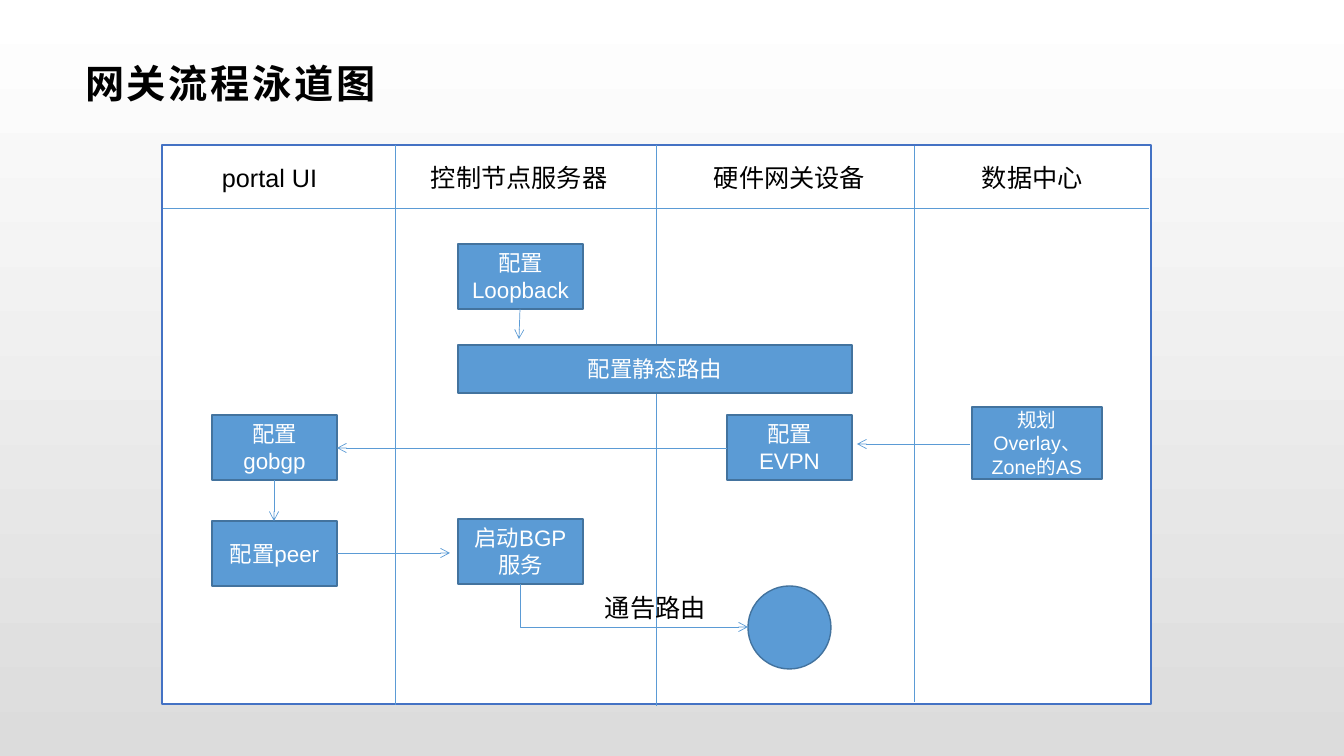
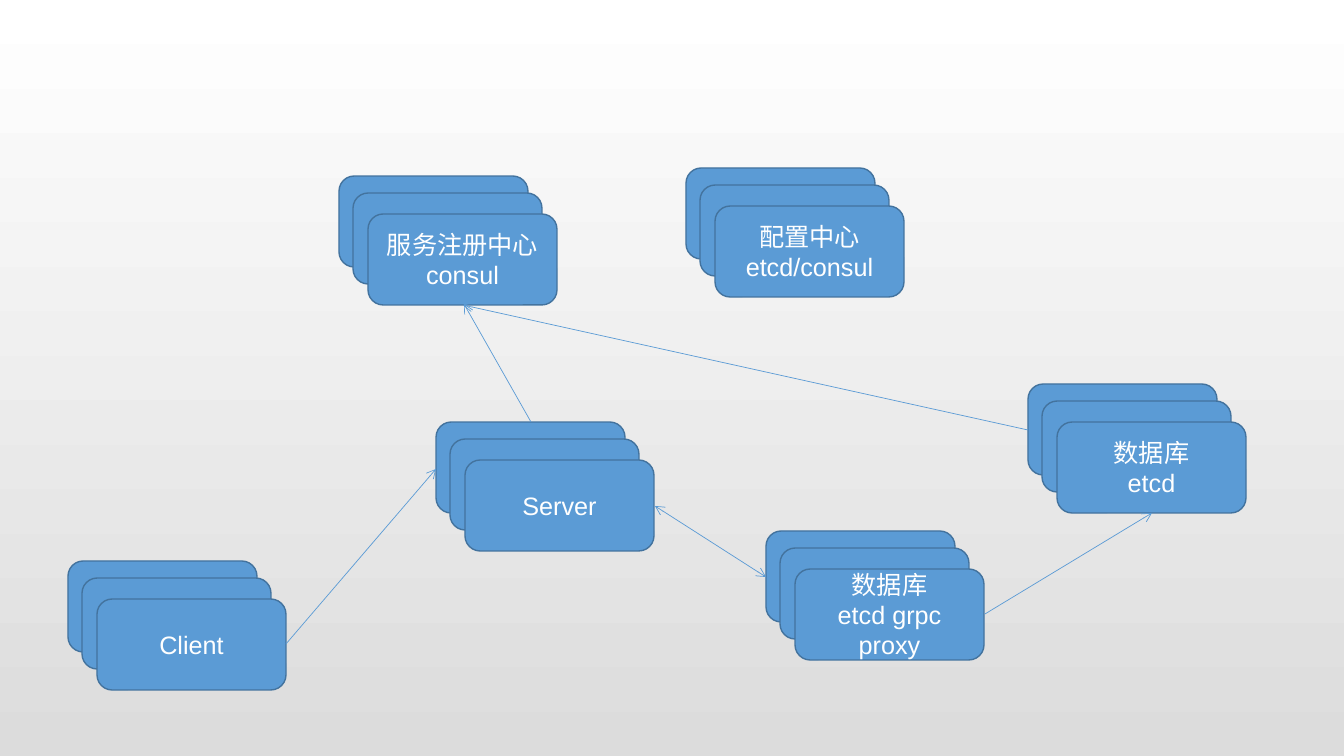
"""Build the gateway swimlane slide and the service topology slide."""
from lxml import etree
from pptx import Presentation
from pptx.dml.color import RGBColor
from pptx.enum.shapes import MSO_CONNECTOR, MSO_SHAPE
from pptx.enum.text import MSO_ANCHOR, MSO_AUTO_SIZE, PP_ALIGN
from pptx.oxml.ns import qn
from pptx.util import Emu, Pt

RECT, ROUNDED, OVAL = MSO_SHAPE.RECTANGLE, MSO_SHAPE.ROUNDED_RECTANGLE, MSO_SHAPE.OVAL
STRAIGHT, ELBOW = MSO_CONNECTOR.STRAIGHT, MSO_CONNECTOR.ELBOW
MIDDLE, CENTER, GROW = MSO_ANCHOR.MIDDLE, PP_ALIGN.CENTER, MSO_AUTO_SIZE.SHAPE_TO_FIT_TEXT

BLACK = RGBColor(0x00, 0x00, 0x00)
WHITE = RGBColor(0xFF, 0xFF, 0xFF)
BACKDROP_END = RGBColor(0xDC, 0xDC, 0xDC)
BLUE = RGBColor(0x5B, 0x9B, 0xD5)
BLUE_EDGE = RGBColor(0x43, 0x73, 0x9E)
PANEL_EDGE = RGBColor(0x44, 0x72, 0xC4)

SLIDE_SIZE = (1344, 756)
EMU_PER_PX = 914400 / 100.8
FONT = "Arial"
TITLE_FONT = {"name": FONT, "size": Pt(28), "bold": True}
LABEL_FONT = {"name": FONT, "size": Pt(18)}

TITLE = ("网关流程泳道图", (74, 47, 1197, 72))
TITLE_MARGINS = {"margin_left": 11, "margin_top": 4, "margin_right": 8, "margin_bottom": 4}
LANE_PANEL = (162, 145, 989, 559)
LANE_RULES = [
    (163, 208, 1149, 208),
    (656, 145, 656, 706),
    (395, 145, 395, 705),
    (914, 146, 914, 702),
]
LABEL_HEIGHT = 40
LABELS = [
    ("portal UI", 212, 157, 130),
    ("控制节点服务器", 421, 157, 212),
    ("硬件网关设备", 704, 157, 186),
    ("数据中心", 972, 157, 136),
    ("通告路由", 595, 587, 136),
]
STEP = (125, 65)
STEPS = [
    ("配置Loopback", (458, 244, *STEP), 16),
    ("配置静态路由", (458, 345, 394, 48), 16),
    ("规划Overlay、Zone的AS", (972, 407, 130, 72), 14),
    ("配置gobgp", (212, 415, *STEP), 16),
    ("配置EVPN", (727, 415, *STEP), 16),
    ("配置peer", (212, 521, *STEP), 16),
    ("启动BGP服务", (458, 519, *STEP), 16),
]
STEP_ARROWS = [
    (520, 309, 519, 339),
    (970, 444, 857, 444),
    (727, 448, 337, 448),
    (274, 480, 274, 521),
    (337, 553, 450, 553),
]
ROUTE_TARGET = (748, 586, 83, 83)
ROUTE_BEND = (520, 584, 748, 627)

CARD = (189, 91)
CARD_OFFSETS = [(0, 0), (14, 17), (29, 38)]
CLUSTERS = [
    ("服务注册中心 consul", 339, 176),
    ("Server", 436, 422),
    ("配置中心 etcd/consul", 686, 168),
    ("数据库\netcd", 1028, 384),
    ("Client", 68, 561),
    ("数据库\netcd grpc proxy", 766, 531),
]
CLUSTER_ARROWS = [
    ((1028, 430, 463, 305), ("tailEnd",)),
    ((531, 422, 464, 304), ("tailEnd",)),
    ((286, 644, 436, 469), ("tailEnd",)),
    ((655, 506, 766, 577), ("headEnd", "tailEnd")),
    ((985, 614, 1152, 513), ("tailEnd",)),
]


def px(*lengths):
    return [Emu(round(length * EMU_PER_PX)) for length in lengths]


def apply(target, values):
    for key, value in values.items():
        setattr(target, key, value)


def write(frame, text, font, color, align=None):
    frame.text = text
    for paragraph in frame.paragraphs:
        paragraph.alignment = align
        for run in paragraph.runs:
            apply(run.font, font)
            run.font.color.rgb = color


def add_box(shapes, kind, bounds, text="", size=18, fill=BLUE, edge=BLUE_EDGE):
    box = shapes.add_shape(kind, *px(*bounds))
    box.shadow.inherit = False
    box.fill.solid()
    box.fill.fore_color.rgb = fill
    box.line.color.rgb = edge
    box.line.width = Pt(1)
    if text:
        apply(box.text_frame, {"word_wrap": True, "vertical_anchor": MIDDLE})
        write(box.text_frame, text, {"name": FONT, "size": Pt(size)}, WHITE, CENTER)


def add_line(shapes, ends, heads=(), kind=STRAIGHT):
    line = shapes.add_connector(kind, *px(*ends))
    line.line.color.rgb = BLUE
    line.line.width = Pt(0.5)
    properties = line._element.spPr
    for head in heads:
        etree.SubElement(properties.find(qn("a:ln")), qn(f"a:{head}"), type="arrow")
    etree.SubElement(properties, qn("a:effectLst"))
    return properties


def add_down_right_arrow(shapes, x1, y1, x2, y2):
    mid_x, mid_y = (x1 + x2) / 2, (y1 + y2) / 2
    half_run, half_drop = (x2 - x1) / 2, (y2 - y1) / 2
    unrotated = (mid_x - half_drop, mid_y + half_run, mid_x + half_drop, mid_y - half_run)
    properties = add_line(shapes, unrotated, ("tailEnd",), ELBOW)
    properties.find(qn("a:xfrm")).set("rot", str(90 * 60000))
    properties.find(qn("a:prstGeom")).set("prst", "bentConnector2")


def add_title(shapes, text, bounds):
    frame = shapes.add_textbox(*px(*bounds)).text_frame
    apply(frame, {"word_wrap": True, "vertical_anchor": MIDDLE})
    apply(frame, {side: px(margin)[0] for side, margin in TITLE_MARGINS.items()})
    write(frame, text, TITLE_FONT, BLACK)
    frame.paragraphs[0].runs[0].font._element.set("spc", "200")


def add_label(shapes, text, left, top, width):
    frame = shapes.add_textbox(*px(left, top, width, LABEL_HEIGHT)).text_frame
    apply(frame, {"word_wrap": True, "auto_size": GROW})
    write(frame, text, LABEL_FONT, BLACK)


def build_swimlanes(shapes):
    add_title(shapes, *TITLE)
    add_box(shapes, RECT, LANE_PANEL, fill=WHITE, edge=PANEL_EDGE)
    for rule in LANE_RULES:
        add_line(shapes, rule)
    for text, bounds, size in STEPS:
        add_box(shapes, RECT, bounds, text, size)
    for ends in STEP_ARROWS:
        add_line(shapes, ends, ("tailEnd",))
    add_box(shapes, OVAL, ROUTE_TARGET)
    add_down_right_arrow(shapes, *ROUTE_BEND)
    for label in LABELS:
        add_label(shapes, *label)


def build_topology(shapes):
    for text, left, top in CLUSTERS:
        cards = shapes.add_group_shape().shapes
        for dx, dy in CARD_OFFSETS:
            front = (dx, dy) == CARD_OFFSETS[-1]
            add_box(cards, ROUNDED, (left + dx, top + dy, *CARD), text if front else "")
    for ends, heads in CLUSTER_ARROWS:
        add_line(shapes, ends, heads)


def set_backdrop(master):
    fill = master.background.fill
    fill.gradient()
    fill.gradient_angle = 270
    for stop, position, color in zip(fill.gradient_stops, (0, 1), (WHITE, BACKDROP_END)):
        stop.position = position
        stop.color.rgb = color


def main():
    deck = Presentation()
    deck.slide_width, deck.slide_height = px(*SLIDE_SIZE)
    set_backdrop(deck.slide_master)
    for build in (build_swimlanes, build_topology):
        build(deck.slides.add_slide(deck.slide_layouts[6]).shapes)
    deck.save("out.pptx")


if __name__ == "__main__":
    main()
